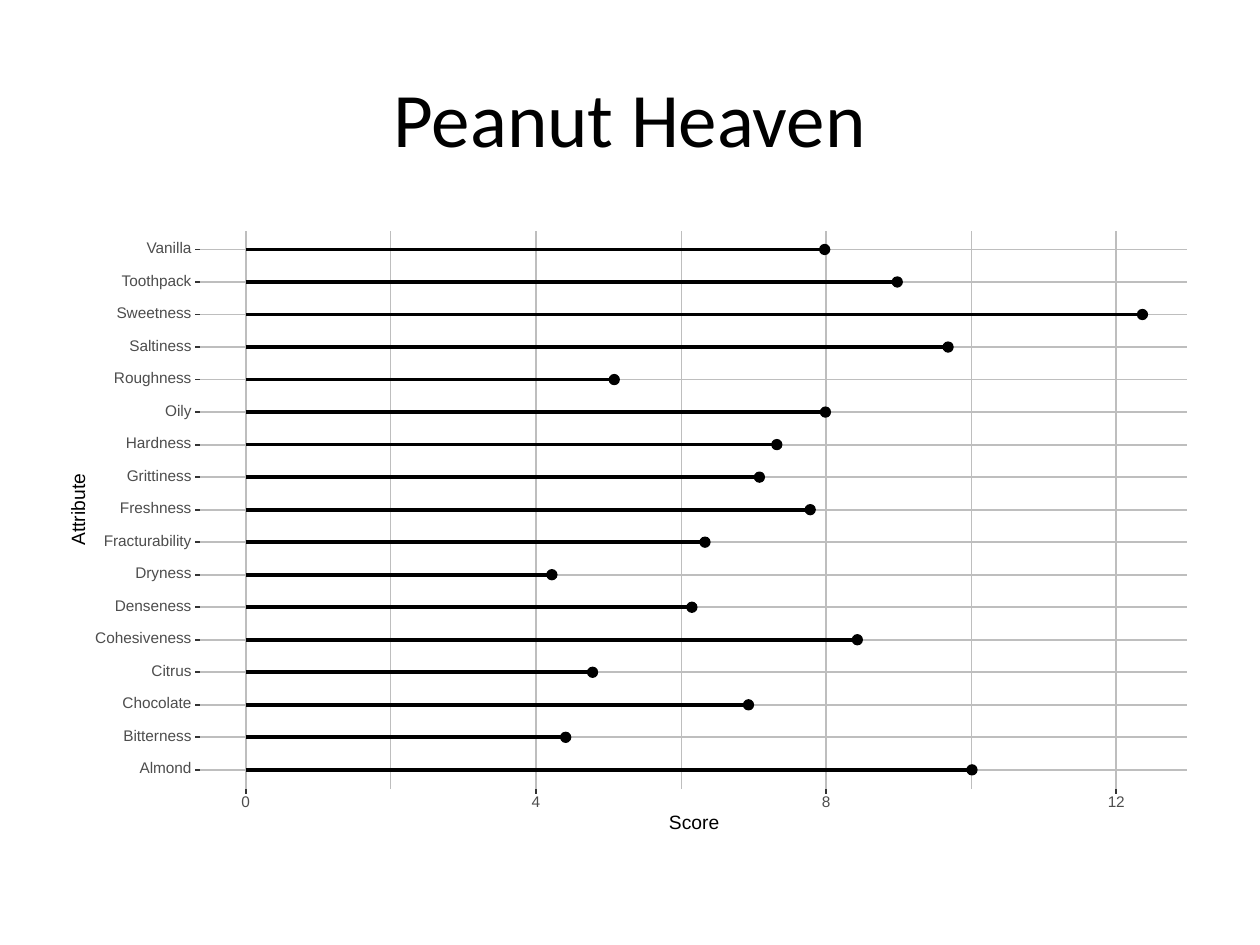
"""Build the Peanut Heaven slide: a lollipop plot of attribute scores."""
from lxml.etree import SubElement
from pptx import Presentation
from pptx.dml.color import RGBColor
from pptx.enum.shapes import MSO_CONNECTOR as Connector, MSO_SHAPE as Shape
from pptx.enum.text import MSO_ANCHOR as Anchor, PP_ALIGN as Align
from pptx.oxml.ns import qn
from pptx.util import Inches, Pt

TITLE = "Peanut Heaven"
SCORES = [
    ("Vanilla", 7.98), ("Toothpack", 8.98), ("Sweetness", 12.36),
    ("Saltiness", 9.68), ("Roughness", 5.08), ("Oily", 7.99),
    ("Hardness", 7.32), ("Grittiness", 7.08), ("Freshness", 7.78),
    ("Fracturability", 6.33), ("Dryness", 4.22), ("Denseness", 6.15),
    ("Cohesiveness", 8.43), ("Citrus", 4.78), ("Chocolate", 6.93),
    ("Bitterness", 4.41), ("Almond", 10.01),
]
MAJOR, MINOR = (0, 4, 8, 12), (2, 6, 10)
LEFT, TOP, RIGHT, BOTTOM = 1.59, 1.83, 9.42, 6.26
ZERO_X, TWELVE_X = 1.95, 8.86
FIRST_Y, LAST_Y = 1.98, 6.11
TICK, DOT = 0.04, 0.08
BLACK, WHITE, GRID, DARK, GREY = "000000", "FFFFFF", "BEBEBE", "333333", "4D4D4D"


def color(value):
    return RGBColor.from_string(value)


def score_x(score):
    return ZERO_X + score * (TWELVE_X - ZERO_X) / 12


def row_y(index):
    return FIRST_Y + index * (LAST_Y - FIRST_Y) / (len(SCORES) - 1)


def add_line(page, x1, y1, x2, y2, tint, width):
    line = page.shapes.add_connector(
        Connector.STRAIGHT, Inches(x1), Inches(y1), Inches(x2), Inches(y2))
    line.line.color.rgb = color(tint)
    line.line.width = Pt(width)
    SubElement(line._element.spPr, qn("a:effectLst"))


def add_solid(page, kind, left, top, width, height, tint, line_width):
    shape = page.shapes.add_shape(
        kind, Inches(left), Inches(top), Inches(width), Inches(height))
    shape.shadow.inherit = False
    shape.fill.solid()
    shape.fill.fore_color.rgb = color(tint)
    shape.line.color.rgb = color(tint)
    shape.line.width = Pt(line_width)


def write(frame, text, *, size, font="Arial", tint=BLACK, align=Align.CENTER,
          spacing=None):
    frame.vertical_anchor = Anchor.MIDDLE
    frame.word_wrap = True
    para = frame.paragraphs[0]
    para.alignment = align
    if spacing:
        para.line_spacing = Pt(spacing)
    span = para.add_run()
    span.text = text
    span.font.size = Pt(size)
    span.font.name = font
    span.font.color.rgb = color(tint)


def add_label(page, text, left, top, width, height, *, size=8.8, rotation=0,
              **style):
    box = page.shapes.add_textbox(
        Inches(left), Inches(top), Inches(width), Inches(height))
    box.rotation = rotation
    frame = box.text_frame
    frame.margin_left = frame.margin_right = 0
    frame.margin_top = frame.margin_bottom = 0
    write(frame, text, size=size, spacing=size, **style)


def draw_grid(page):
    for score in MINOR:
        add_line(page, score_x(score), BOTTOM, score_x(score), TOP, GRID, 0.53)
    for index in range(len(SCORES)):
        add_line(page, LEFT, row_y(index), RIGHT, row_y(index), GRID, 1.07)
    for score in MAJOR:
        add_line(page, score_x(score), BOTTOM, score_x(score), TOP, GRID, 1.07)


def draw_scores(page):
    for index, (name, score) in enumerate(SCORES):
        x, y = score_x(score), row_y(index)
        add_solid(page, Shape.OVAL, x - DOT / 2, y - DOT / 2, DOT, DOT, BLACK, 0.71)
        add_line(page, x, y, ZERO_X, y, BLACK, 2.13)
        add_line(page, LEFT - TICK, y, LEFT, y, DARK, 1.07)
        add_label(page, name, 0.72, y - 0.05, 0.8, 0.09, tint=GREY, align=Align.RIGHT)


def draw_axes(page):
    for score in MAJOR:
        x = score_x(score)
        add_line(page, x, BOTTOM + TICK, x, BOTTOM, DARK, 1.07)
        add_label(page, str(score), x - 0.1, 6.33, 0.2, 0.09, tint=GREY)
    add_label(page, "Score", 5.26, 6.48, 0.5, 0.11, size=11)
    add_label(page, "Attribute", 0.28, 3.99, 0.7, 0.11, size=11, rotation=270)


def main():
    deck = Presentation()
    deck.slide_width, deck.slide_height = Inches(10), Inches(7.5)
    page = deck.slides.add_slide(deck.slide_layouts[5])
    title = page.shapes.title
    title.left, title.top = Inches(0.5), Inches(0.3)
    title.width, title.height = Inches(9), Inches(1.25)
    write(title.text_frame, TITLE, size=44, font="Calibri")
    add_solid(page, Shape.RECTANGLE, 0.5, 1.75, 9, 4.95, WHITE, 0.75)
    draw_grid(page)
    draw_scores(page)
    draw_axes(page)
    deck.save("out.pptx")


if __name__ == "__main__":
    main()
